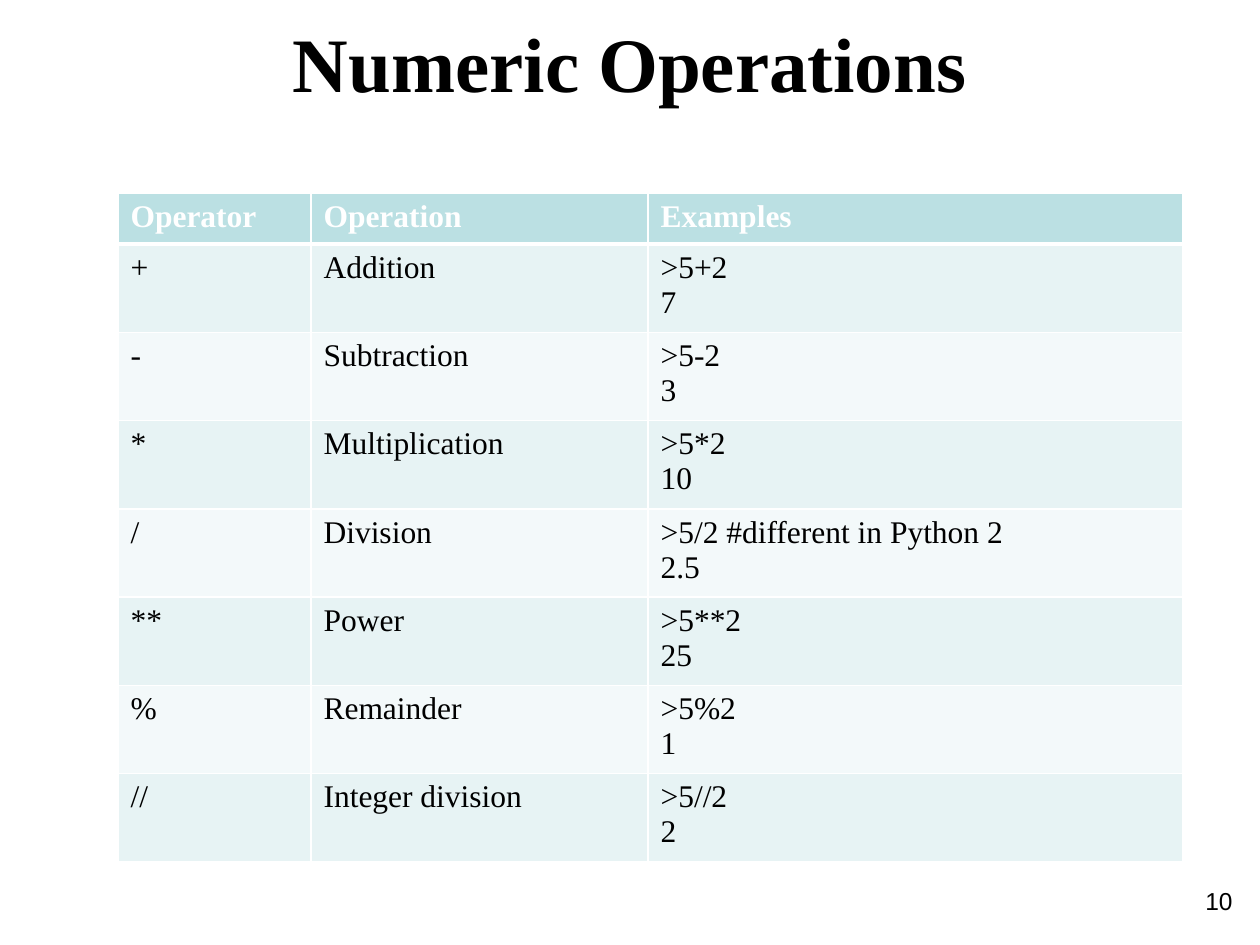
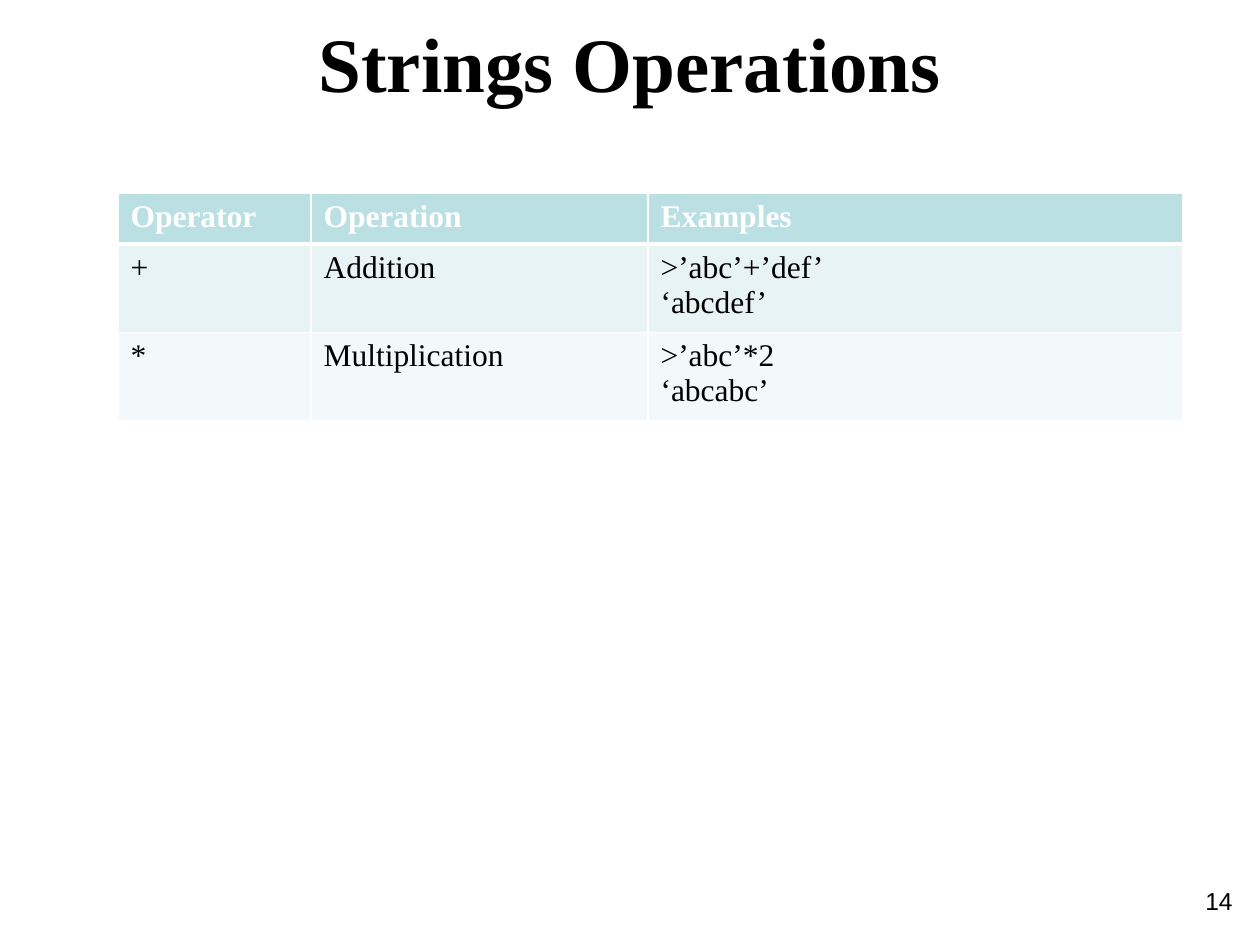
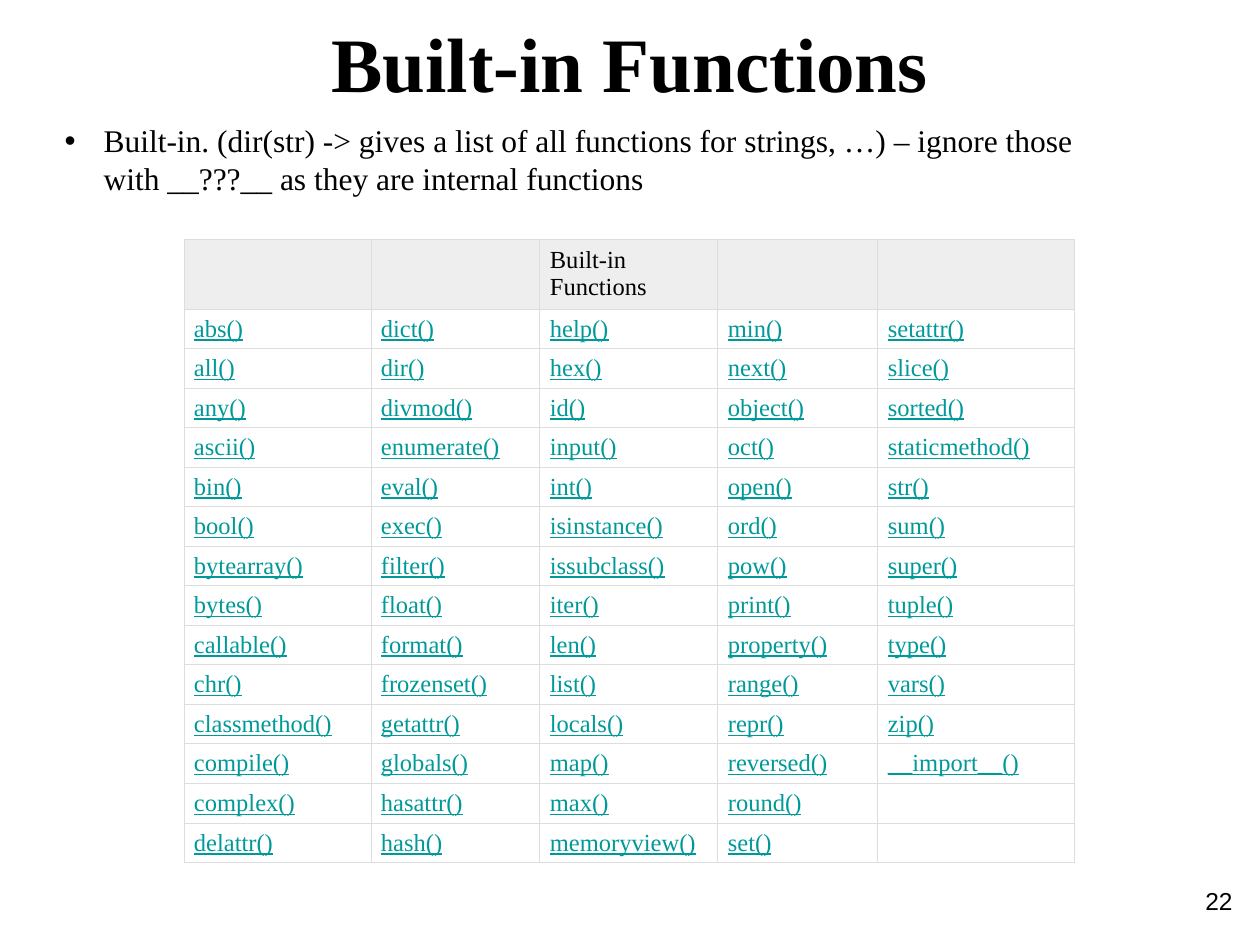
import dataclasses
import itertools

import lxml.etree
import pptx
import pptx.dml.color
import pptx.enum.text
import pptx.oxml.ns
import pptx.util

OPERATOR_HEADINGS = ("Operator", "Operation", "Examples")
NUMERIC_OPERATIONS = [
    ("+", "Addition", ">5+2\n7"),
    ("-", "Subtraction", ">5-2\n3"),
    ("*", "Multiplication", ">5*2\n10"),
    ("/", "Division", ">5/2 #different in Python 2\n2.5"),
    ("**", "Power", ">5**2\n25"),
    ("%", "Remainder", ">5%2\n1"),
    ("//", "Integer division", ">5//2\n2"),
]
STRING_OPERATIONS = [
    ("+", "Addition", ">’abc’+’def’\n‘abcdef’"),
    ("*", "Multiplication", ">’abc’*2\n‘abcabc’"),
]
OPERATOR_SLIDES = [
    ("Numeric Operations", "10", NUMERIC_OPERATIONS),
    ("Strings Operations", "14", STRING_OPERATIONS),
]
BUILTINS_TITLE = "Built-in Functions"
BUILTINS_PAGE = "22"
BUILTINS_NOTE = (
    "Built-in. (dir(str) -> gives a list of all functions for strings, …) – "
    "ignore those with __???__ as they are internal functions"
)
BUILTINS_HEADINGS = ("", "", "Built-in Functions", "", "")
BUILTINS_COLUMNS = [
    "abs all any ascii bin bool bytearray bytes callable chr classmethod compile complex delattr",
    "dict dir divmod enumerate eval exec filter float format frozenset getattr globals hasattr hash",
    "help hex id input int isinstance issubclass iter len list locals map max memoryview",
    "min next object oct open ord pow print property range repr reversed round set",
    "setattr slice sorted staticmethod str sum super tuple type vars zip __import__",
]


@dataclasses.dataclass(frozen=True)
class Theme:
    serif: str = "Times New Roman"
    sans: str = "Arial"
    ink: str = "000000"
    white: str = "FFFFFF"
    header: str = "BBE0E3"
    bands: tuple = ("E7F3F4", "F3F9FA")
    grey_header: str = "EEEEEE"
    grid: str = "DDDDDD"
    link: str = "009999"
    title_size: int = 44
    text_size: int = 18
    small_size: int = 14


THEME = Theme()
EMU_PER_PIXEL = 914400 / 126
TITLE_BOX = (0, 9, 1260, 106)
PAGE_BOX = (951, 880, 294, 65)
NOTE_BOX = (52, 115, 1046, 89)
NOTE_INDENT = 39
OPERATOR_ORIGIN = (118, 193)
OPERATOR_WIDTHS = (193, 337, 535)
OPERATOR_HEADER_HEIGHT, OPERATOR_ROW_HEIGHT = 51, 88
BUILTINS_ORIGIN = (184, 239)
BUILTINS_WIDTHS = (187, 169, 178, 160, 197)
BUILTINS_HEADER_HEIGHT, BUILTINS_BODY_HEIGHT = 70, 554
BUILTINS_MARGINS = (10, 5)


def px(pixels):
    return pptx.util.Emu(round(pixels * EMU_PER_PIXEL))


def place(shape, box):
    shape.left, shape.top, shape.width, shape.height = map(px, box)


def write(paragraph, text, size, color=THEME.ink, face=THEME.serif, bold=False, underline=False):
    run = paragraph.add_run()
    run.text = text
    font = run.font
    font.name, font.size = face, pptx.util.Pt(size)
    font.bold, font.underline = bold, underline
    font.color.rgb = pptx.dml.color.RGBColor.from_string(color)


def border(cell, color, width, bottom=None):
    properties = cell._tc.get_or_add_tcPr()
    for position, side in enumerate(("lnL", "lnR", "lnT", "lnB")):
        points = bottom if bottom and side == "lnB" else width
        line = lxml.etree.Element(pptx.oxml.ns.qn(f"a:{side}"), w=str(pptx.util.Pt(points)))
        fill = lxml.etree.SubElement(line, pptx.oxml.ns.qn("a:solidFill"))
        lxml.etree.SubElement(fill, pptx.oxml.ns.qn("a:srgbClr"), val=color)
        properties.insert(position, line)


def fill_cell(cell, text, fill, size, **style):
    cell.fill.solid()
    cell.fill.fore_color.rgb = pptx.dml.color.RGBColor.from_string(fill)
    for number, line in enumerate(text.split("\n")):
        frame = cell.text_frame
        paragraph = frame.add_paragraph() if number else frame.paragraphs[0]
        if line:
            write(paragraph, line, size, **style)
        else:
            lxml.etree.SubElement(
                paragraph._p, pptx.oxml.ns.qn("a:endParaRPr"), sz=str(size * 100)
            )


def add_grid(slide, origin, widths, heights):
    frame = slide.shapes.add_table(
        len(heights), len(widths), *map(px, (*origin, sum(widths), sum(heights)))
    )
    table = frame.table
    table.horz_banding = False
    for column, width in zip(table.columns, widths):
        column.width = px(width)
    for row, height in zip(table.rows, heights):
        row.height = px(height)
    return table


def add_page(layout_number, title, page):
    slide = deck.slides.add_slide(deck.slide_layouts[layout_number])
    heading = slide.shapes.title
    place(heading, TITLE_BOX)
    frame = heading.text_frame
    frame.auto_size = pptx.enum.text.MSO_AUTO_SIZE.SHAPE_TO_FIT_TEXT
    frame.vertical_anchor = pptx.enum.text.MSO_ANCHOR.MIDDLE
    frame.paragraphs[0].alignment = pptx.enum.text.PP_ALIGN.CENTER
    write(frame.paragraphs[0], title, THEME.title_size, bold=True)
    footer = slide.shapes.add_textbox(*map(px, PAGE_BOX)).text_frame
    footer.word_wrap = True
    footer.paragraphs[0].alignment = pptx.enum.text.PP_ALIGN.RIGHT
    write(footer.paragraphs[0], page, THEME.small_size, face=THEME.sans)
    return slide


def add_operators(slide, operations):
    heights = [OPERATOR_HEADER_HEIGHT] + [OPERATOR_ROW_HEIGHT] * len(operations)
    table = add_grid(slide, OPERATOR_ORIGIN, OPERATOR_WIDTHS, heights)
    for r, texts in enumerate([OPERATOR_HEADINGS] + operations):
        for c, text in enumerate(texts):
            cell = table.cell(r, c)
            if r == 0:
                fill_cell(cell, text, THEME.header, THEME.text_size, color=THEME.white, bold=True)
            else:
                fill_cell(cell, text, THEME.bands[(r - 1) % 2], THEME.text_size)
            border(cell, THEME.white, 1, bottom=None if r else 3)


def add_note(slide):
    body = slide.placeholders[1]
    place(body, NOTE_BOX)
    frame = body.text_frame
    frame.auto_size = pptx.enum.text.MSO_AUTO_SIZE.SHAPE_TO_FIT_TEXT
    paragraph = frame.paragraphs[0]
    paragraph.space_before = pptx.util.Pt(0)
    properties = paragraph._p.get_or_add_pPr()
    properties.set("marL", str(px(NOTE_INDENT)))
    properties.set("indent", str(px(-NOTE_INDENT)))
    lxml.etree.SubElement(properties, pptx.oxml.ns.qn("a:buChar"), char="•")
    write(paragraph, BUILTINS_NOTE, THEME.text_size)


def add_builtins(slide):
    columns = [[f"{name}()" for name in names.split()] for names in BUILTINS_COLUMNS]
    rows = list(itertools.zip_longest(*columns, fillvalue=""))
    heights = [BUILTINS_HEADER_HEIGHT] + [BUILTINS_BODY_HEIGHT / len(rows)] * len(rows)
    table = add_grid(slide, BUILTINS_ORIGIN, BUILTINS_WIDTHS, heights)
    side, edge = map(px, BUILTINS_MARGINS)
    for r, texts in enumerate([BUILTINS_HEADINGS] + rows):
        for c, text in enumerate(texts):
            cell = table.cell(r, c)
            cell.margin_left = cell.margin_right = side
            cell.margin_top = cell.margin_bottom = edge
            cell.vertical_anchor = pptx.enum.text.MSO_ANCHOR.MIDDLE
            if r == 0:
                fill_cell(cell, text, THEME.grey_header, THEME.small_size)
            else:
                fill_cell(
                    cell, text, THEME.white, THEME.small_size, color=THEME.link, underline=True
                )
            border(cell, THEME.grid, 0.6)


deck = pptx.Presentation()
deck.slide_width, deck.slide_height = px(1260), px(945)
for title, page, operations in OPERATOR_SLIDES:
    add_operators(add_page(5, title, page), operations)
builtins = add_page(1, BUILTINS_TITLE, BUILTINS_PAGE)
add_note(builtins)
add_builtins(builtins)
deck.save("out.pptx")
